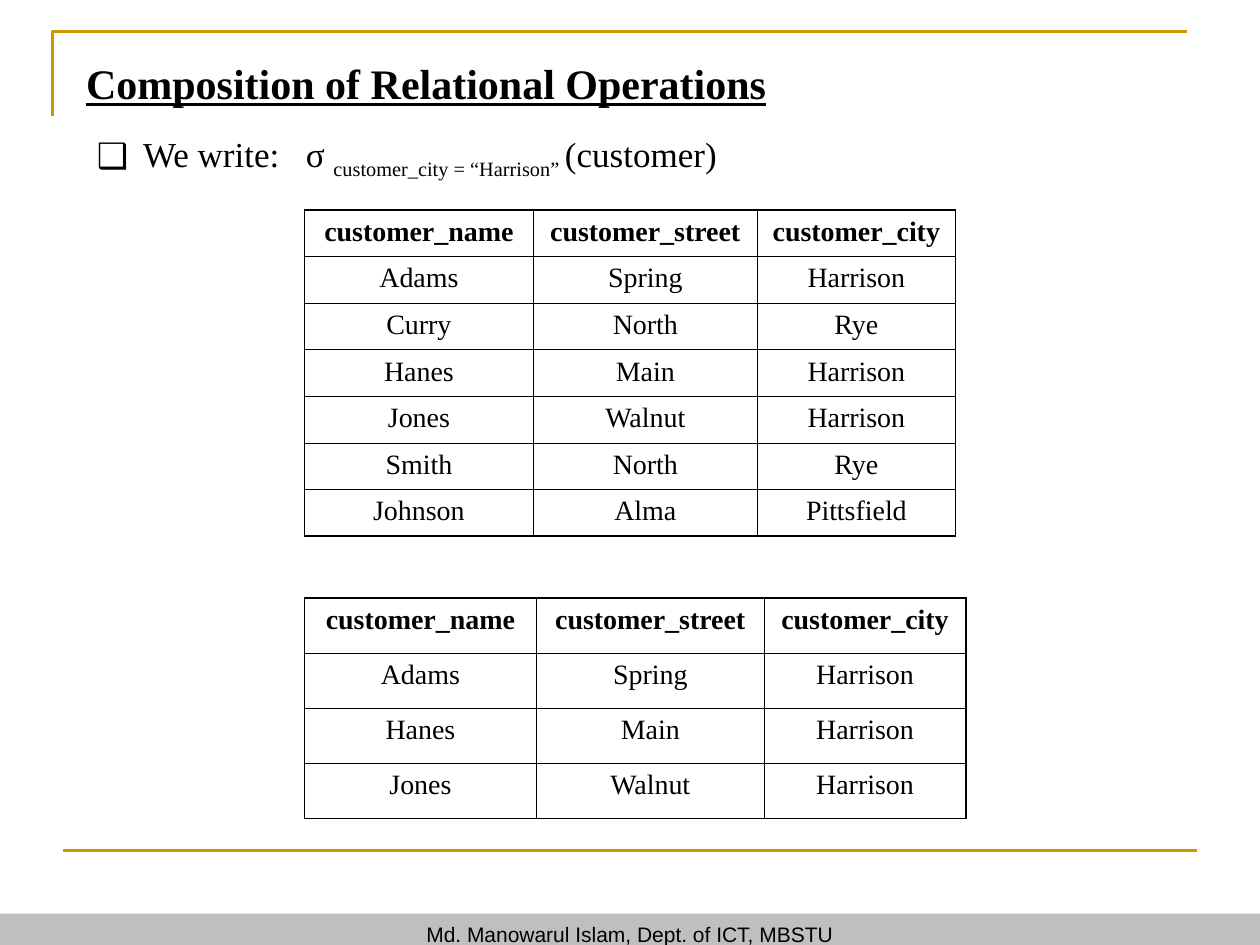
"""Build a slide on composing relational operations, with a relation and its selection."""
from lxml import etree
from pptx import Presentation, util as u
from pptx.dml.color import RGBColor
from pptx.enum import shapes, text
from pptx.oxml import ns

COLORS = {"gold": "CC9900", "grey": "BFBFBF", "ink": "000000", "paper": "FFFFFF"}
SERIF = "Times New Roman"


def style(font, size, name=SERIF, bold=False):
    font.size, font.name, font.bold = u.Pt(size), name, bold
    font.color.rgb = RGBColor.from_string(COLORS["ink"])


def add_element(parent, tag, **attributes):
    return etree.SubElement(parent, ns.qn(tag), attributes)


deck = Presentation()
deck.slide_width, deck.slide_height = u.Cm(25.4), u.Cm(19.05)
slide = deck.slides.add_slide(deck.slide_layouts[1])

corner = slide.shapes.build_freeform(u.Cm(1.06), u.Cm(2.33))
corner.add_line_segments([(u.Cm(1.06), u.Cm(0.63)), (u.Cm(23.92), u.Cm(0.63))], close=False)
frame = corner.convert_to_shape()
frame.fill.background()
frame.shadow.inherit = False
rule = slide.shapes.add_connector(
    shapes.MSO_CONNECTOR.STRAIGHT, u.Cm(1.27), u.Cm(17.14), u.Cm(24.13), u.Cm(17.14))
add_element(rule._element.spPr, "a:effectLst")
for border in (frame, rule):
    border.line.color.rgb = RGBColor.from_string(COLORS["gold"])
    border.line.width = u.Pt(1.5)

footer = slide.shapes.add_shape(
    shapes.MSO_SHAPE.RECTANGLE, 0, u.Cm(18.42), u.Cm(25.4), u.Cm(0.84))
footer.shadow.inherit = False
footer.fill.solid()
footer.fill.fore_color.rgb = RGBColor.from_string(COLORS["grey"])
footer.line.fill.background()
author = footer.text_frame.paragraphs[0]
author.text = "Md. Manowarul Islam, Dept. of ICT, MBSTU"
author.alignment = text.PP_ALIGN.CENTER
style(author.font, 12, "Arial")

title, body = slide.placeholders
title.left, title.top, title.width, title.height = u.Cm(1.48), u.Cm(1.04), u.Cm(17.58), u.Cm(1.27)
body.left, body.top, body.width, body.height = u.Cm(1.7), u.Cm(2.54), u.Cm(23.7), u.Cm(3.76)
for holder in (title, body):
    holder.text_frame.vertical_anchor = text.MSO_ANCHOR.TOP
    holder.text_frame.auto_size = text.MSO_AUTO_SIZE.NONE

heading = title.text_frame.paragraphs[0]
heading.text = "Composition of Relational Operations"
heading.alignment = text.PP_ALIGN.LEFT
style(heading.font, 24, bold=True)
heading.font.underline = True

query = body.text_frame.paragraphs[0]
query.space_before = u.Pt(0)
properties = query._p.get_or_add_pPr()
properties.set("marL", str(u.Cm(0.93)))
properties.set("indent", str(u.Cm(-0.93)))
add_element(add_element(properties, "a:buClr"), "a:srgbClr", val=COLORS["ink"])
add_element(properties, "a:buChar", char="❑")
add_element(add_element(properties, "a:tabLst"), "a:tab", pos=str(u.Cm(4.21)), algn="l")
style(query.font, 20)
for wording, baseline in (("We write:\tσ ", 0), ("customer_city = “Harrison” ", -25000), ("(customer)", 0)):
    run = query.add_run()
    run.text = wording
    if baseline:
        run._r.get_or_add_rPr().set("baseline", str(baseline))

header = ("customer_name", "customer_street", "customer_city")
customers = [
    ("Adams", "Spring", "Harrison"),
    ("Curry", "North", "Rye"),
    ("Hanes", "Main", "Harrison"),
    ("Jones", "Walnut", "Harrison"),
    ("Smith", "North", "Rye"),
    ("Johnson", "Alma", "Pittsfield"),
]
selected = [customer for customer in customers if customer[2] == "Harrison"]

for top, row_height, widths, records in (
    (4.23, 0.94, (4.61, 4.52, 3.99), customers),
    (12.06, 1.11, (4.67, 4.6, 4.06), selected),
):
    rows = [header, *records]
    relation = slide.shapes.add_table(
        len(rows), len(header), u.Cm(6.14), u.Cm(top),
        u.Cm(sum(widths)), u.Cm(row_height * len(rows))).table
    for column, width in zip(relation.columns, widths):
        column.width = u.Cm(width)
    for r, values in enumerate(rows):
        relation.rows[r].height = u.Cm(row_height)
        for c, value in enumerate(values):
            cell = relation.cell(r, c)
            entry = cell.text_frame.paragraphs[0]
            entry.text = value
            entry.alignment = text.PP_ALIGN.CENTER
            style(entry.font, 16, bold=r == 0)
            outer_edges = {"L": c == 0, "R": c == len(header) - 1,
                           "T": r == 0, "B": r == len(rows) - 1}
            for side, outer in outer_edges.items():
                edge = add_element(cell._tc.get_or_add_tcPr(), f"a:ln{side}",
                                   w=str(u.Pt(1.08 if outer else 0.45)))
                add_element(add_element(edge, "a:solidFill"), "a:srgbClr", val=COLORS["ink"])
            cell.fill.solid()
            cell.fill.fore_color.rgb = RGBColor.from_string(COLORS["paper"])

deck.save("out.pptx")
